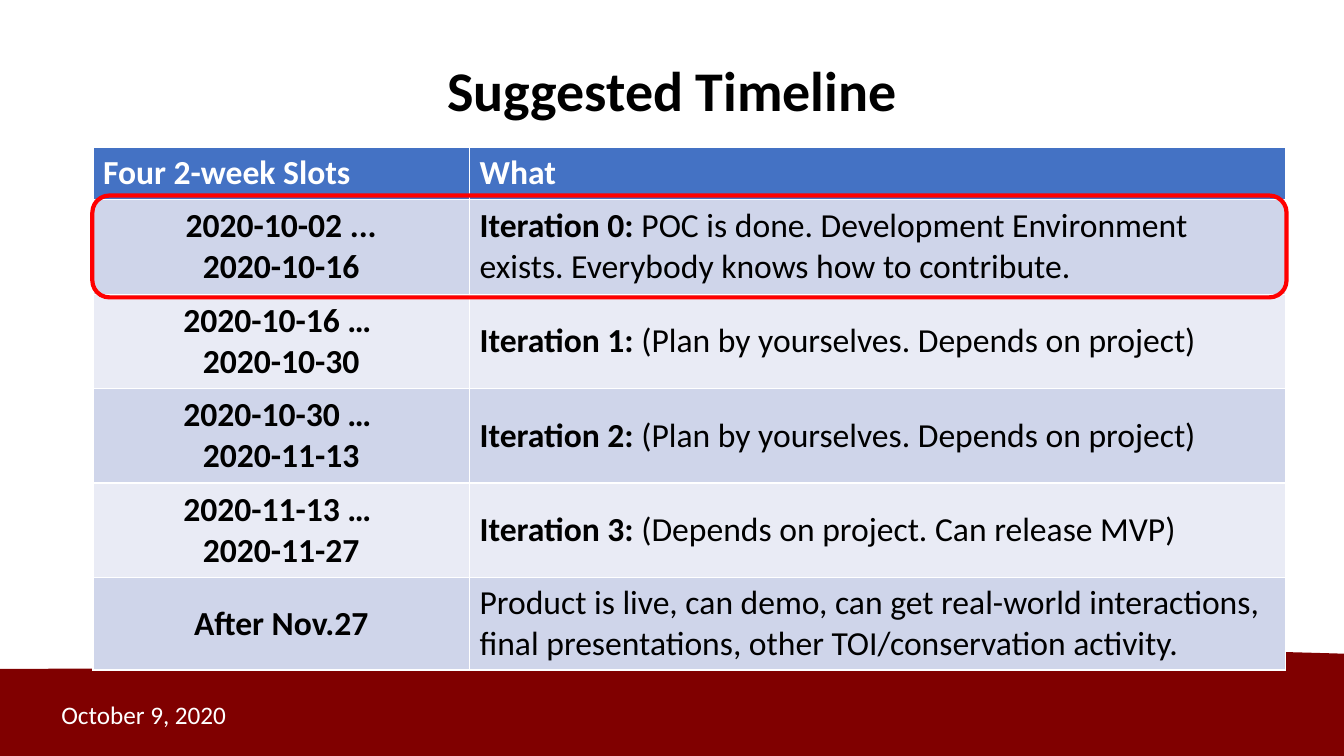
from pptx import Presentation
from pptx.dml.color import RGBColor
from pptx.enum.shapes import MSO_SHAPE as Preset
from pptx.enum.text import MSO_ANCHOR as Anchor, PP_ALIGN as Align
from pptx.util import Pt

TITLE = "Suggested Timeline"
DATE = "October 9, 2020"
HEADER = ("Four 2-week Slots", "What")
# Each slot: dates, bold lead, description ("\v" is a line break)
SLOTS = [
    ("2020-10-02 ...\v2020-10-16", "Iteration 0: ",
     "POC is done. Development Environment exists. Everybody knows how to contribute."),
    ("2020-10-16 … \v2020-10-30", "Iteration 1: ",
     "(Plan by yourselves. Depends on project)"),
    ("2020-10-30 … \v2020-11-13", "Iteration 2: ",
     "(Plan by yourselves. Depends on project)"),
    ("2020-11-13 … \v2020-11-27", "Iteration 3: ",
     "(Depends on project. Can release MVP)"),
    ("After Nov.27", "",
     "Product is live, can demo, can get real-world interactions, "
     "final presentations, other TOI/conservation activity."),
]
COLORS = {"maroon": "800000", "header": "4472C4", "odd": "CFD5EA", "even": "E9EBF5",
          "black": "000000", "white": "FFFFFF", "highlight": "FF0000"}
FONT = "Calibri"
SLIDE_W, SLIDE_H = 960, 540
TABLE_LEFT, TABLE_TOP = 66.4, 105.4
COLUMN_WIDTHS = (269, 583)
ROW_HEIGHTS = (37.2, 67.5, 67.5, 67.5, 67.5, 66)


def rgb(name):
    return RGBColor.from_string(COLORS[name])


def box(left, top, width, height):
    return Pt(left), Pt(top), Pt(width), Pt(height)


def style(run, size, color, bold=False):
    run.font.name, run.font.size, run.font.bold = FONT, Pt(size), bold
    run.font.color.rgb = rgb(color)


def write(paragraph, pieces, size, color):
    """Add (text, bold) pieces to a paragraph; empty ones are skipped."""
    for text, bold in pieces:
        lines = text.split("\v")
        for number, line in enumerate(lines):
            if number:
                paragraph.add_line_break()
            if line:
                run = paragraph.add_run()
                run.text = line
                style(run, size, color, bold)


def add_label(slide, place, text, size, color, bold=False):
    frame = slide.shapes.add_textbox(*place).text_frame
    frame.word_wrap = True
    frame.vertical_anchor = Anchor.MIDDLE
    write(frame.paragraphs[0], [(text, bold)], size, color)
    return frame.paragraphs[0]


def fill_cell(cell, pieces, fill, color="black", align=Align.LEFT, anchor=Anchor.MIDDLE):
    cell.fill.solid()
    cell.fill.fore_color.rgb = rgb(fill)
    cell.vertical_anchor = anchor
    paragraph = cell.text_frame.paragraphs[0]
    paragraph.alignment = align
    write(paragraph, pieces, 24, color)


def add_timeline(slide):
    place = box(TABLE_LEFT, TABLE_TOP, sum(COLUMN_WIDTHS), sum(ROW_HEIGHTS))
    timeline = slide.shapes.add_table(len(ROW_HEIGHTS), len(COLUMN_WIDTHS), *place).table
    for column, width in zip(timeline.columns, COLUMN_WIDTHS):
        column.width = Pt(width)
    for row, height in zip(timeline.rows, ROW_HEIGHTS):
        row.height = Pt(height)
    for c, heading in enumerate(HEADER):
        fill_cell(timeline.cell(0, c), [(heading, True)], "header", "white", anchor=Anchor.TOP)
    for r, (dates, lead, description) in enumerate(SLOTS, 1):
        fill = "odd" if r % 2 else "even"
        fill_cell(timeline.cell(r, 0), [(dates, True)], fill, align=Align.CENTER)
        fill_cell(timeline.cell(r, 1), [(lead, True), (description, False)], fill)


def main():
    deck = Presentation()
    deck.slide_width, deck.slide_height = Pt(SLIDE_W), Pt(SLIDE_H)
    slide = deck.slides.add_slide(deck.slide_layouts[6])

    footer = slide.shapes.add_shape(Preset.FLOWCHART_DOCUMENT, *box(0, 461.5, SLIDE_W, 82))
    footer.rotation = 180
    footer.shadow.inherit = False
    footer.fill.solid()
    footer.fill.fore_color.rgb = rgb("maroon")
    footer.line.fill.background()

    title = add_label(slide, box(66, 29, 828, 76), TITLE, 40, "black", True)
    title.alignment = Align.CENTER
    title.line_spacing = 0.9
    add_timeline(slide)
    add_label(slide, box(36.7, 495.5, 216, 29), DATE, 18, "white")

    current = slide.shapes.add_shape(
        Preset.ROUNDED_RECTANGLE, *box(66, 139.7, sum(COLUMN_WIDTHS) + 1, 72.7))
    current.shadow.inherit = False
    current.fill.background()
    current.line.color.rgb = rgb("highlight")
    current.line.width = Pt(3)

    deck.save("out.pptx")


if __name__ == "__main__":
    main()
